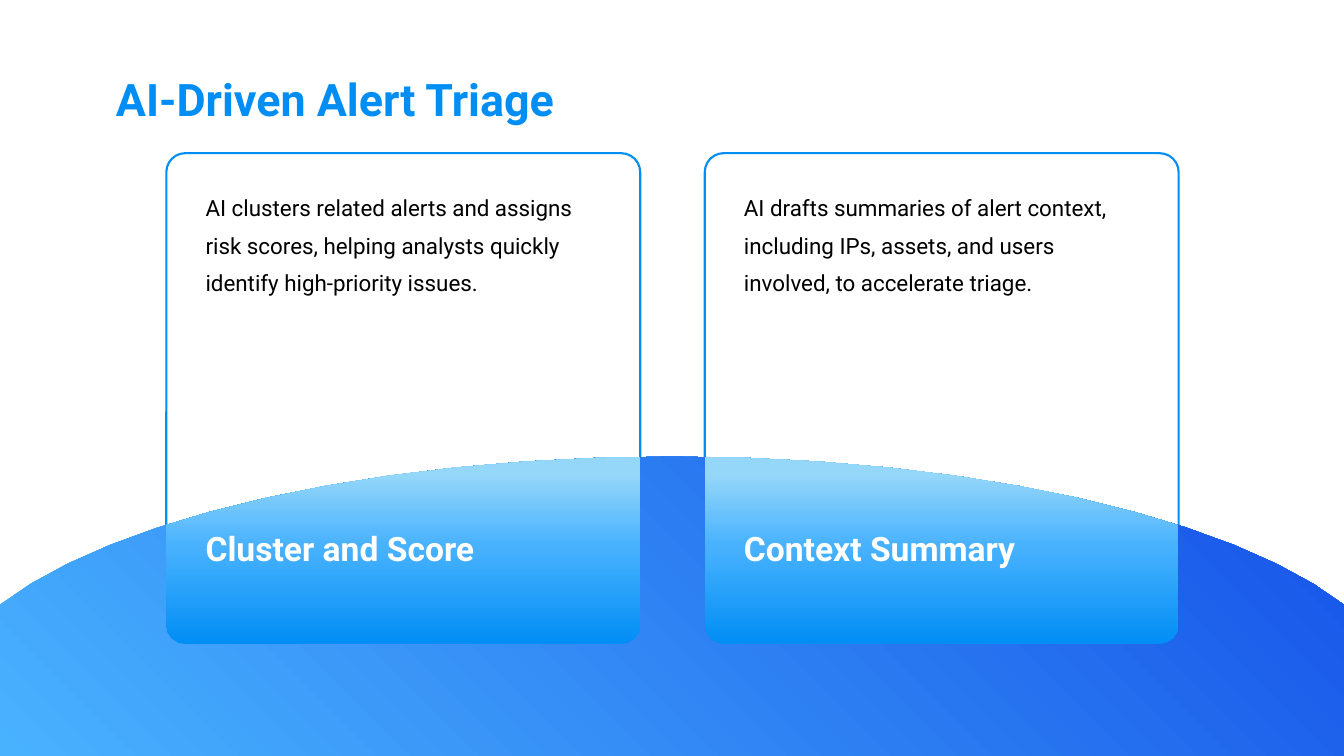
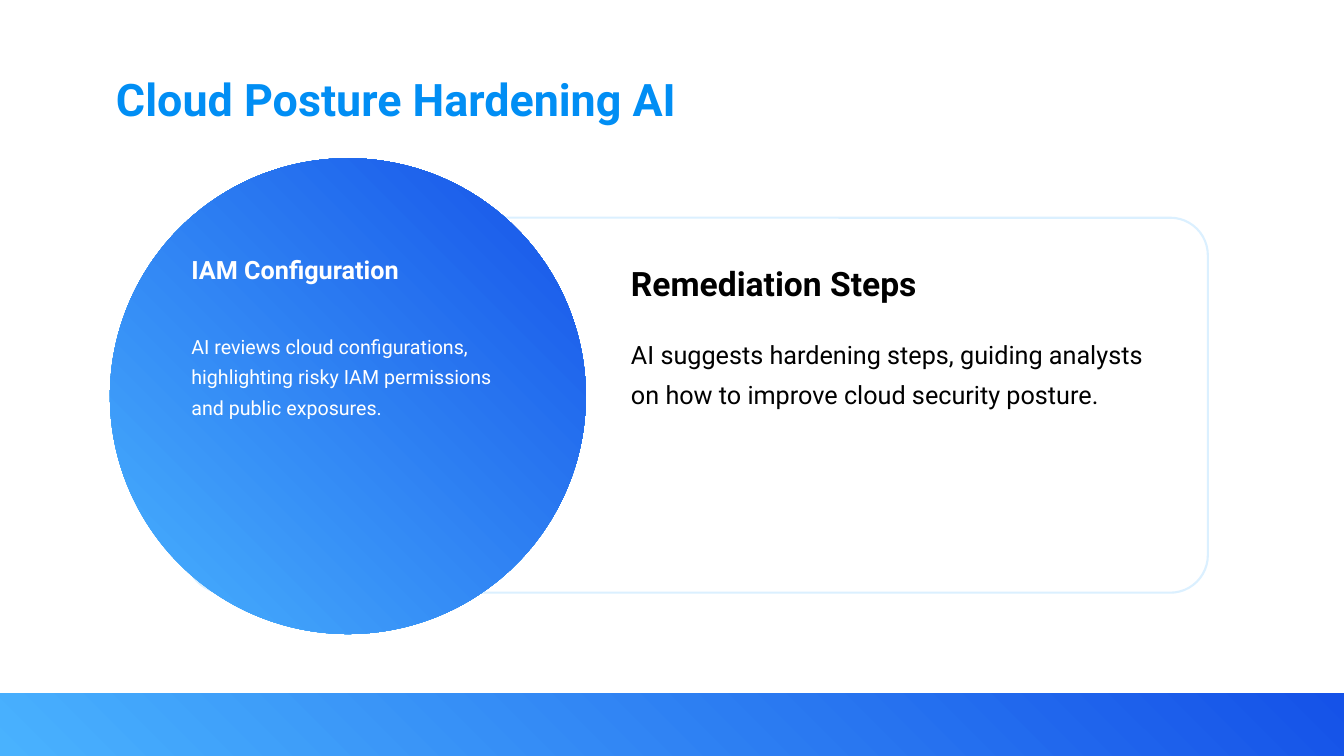
import copy
import math

import pptx
import pptx.util
from pptx.dml.color import RGBColor
from pptx.enum.shapes import MSO_SHAPE
from pptx.enum.text import MSO_ANCHOR, MSO_AUTO_SIZE, PP_ALIGN
from pptx.util import Inches

FONT = "Roboto"
COLORS = {
    "blue": "018EF4",
    "sky": "49B2FE",
    "ice": "95D7F9",
    "royal": "1552E8",
    "pale": "DBF0FF",
    "white": "FFFFFF",
    "black": "000000",
}
DIAGONAL = ([(0, "sky"), (1, "royal")], 45)
SOFT = ([(0, "blue"), (0.91, "sky"), (1, "sky")], 135)
UPWARD = ([(0, "blue"), (0.53, "sky"), (0.91, "ice"), (1, "ice")], 90)

SLIDE_W, SLIDE_H = 13.33, 7.5
BAND_TOP = 6.88
HILL_CURVE = [(0, 6), (1.11, 5.14), (3.68, 4.53), (SLIDE_W / 2, 4.53)]
CARD_LEFT, CARD_TOP, CARD_W, CARD_H = 1.65, 1.52, 4.7, 4.87
CARD_STEP, CARD_PAD, CARD_RADIUS = 5.34, 0.29, 0.19

TRIAGE_TITLE = "AI-Driven Alert Triage"
TRIAGE_CARDS = [
    ("Cluster and Score",
     "AI clusters related alerts and assigns risk scores, helping analysts "
     "quickly identify high-priority issues."),
    ("Context Summary",
     "AI drafts summaries of alert context, including IPs, assets, and users "
     "involved, to accelerate triage."),
]

POSTURE_TITLE = "Cloud Posture Hardening AI"
# text, box, size, colour, bold, line spacing
POSTURE_TEXTS = [
    ("IAM Configuration", (1.8, 2.47, 3.3, 0.31), 18, "white", True, 1),
    ("AI reviews cloud configurations, highlighting risky IAM permissions "
     "and public exposures.", (1.8, 3.2, 3.3, 0.94), 14, "white", False, 1.3),
    ("Remediation Steps", (6.16, 2.56, 5.08, 0.4), 24, "black", True, 1),
    ("AI suggests hardening steps, guiding analysts on how to improve cloud "
     "security posture.", (6.16, 3.23, 5.35, 1.17), 18, "black", False, 1.3),
]


def rgb(name):
    return RGBColor.from_string(COLORS[name])


def fill_gradient(sp, gradient):
    """Fill with (position, colour) stops; the angle runs counter-clockwise."""
    stops, angle = gradient
    sp.fill.gradient()
    sp.fill.gradient_angle = angle
    first = sp.fill.gradient_stops[0]._gs
    for _ in stops[2:]:
        first.addnext(copy.deepcopy(first))
    for stop, (position, color) in zip(sp.fill.gradient_stops, stops):
        stop.color.rgb = rgb(color)
        stop.position = position


def style_shape(sp, gradient=None, line=None):
    sp.shadow.inherit = False
    if gradient:
        fill_gradient(sp, gradient)
    else:
        sp.fill.solid()
        sp.fill.fore_color.rgb = rgb("white")
    if line:
        sp.line.color.rgb = rgb(line)
        sp.line.width = pptx.util.Pt(1.5)
    else:
        sp.line.fill.background()


def add_shape(s, kind, box, gradient=None, line=None, radius=None):
    sp = s.shapes.add_shape(kind, *map(Inches, box))
    if radius is not None:
        sp.adjustments[0] = radius
    style_shape(sp, gradient, line)


def add_outline(s, points, gradient):
    start, *rest = [(Inches(x), Inches(y)) for x, y in points]
    builder = s.shapes.build_freeform(*start, scale=1.0)
    builder.add_line_segments(rest, close=True)
    style_shape(builder.convert_to_shape(), gradient)


def write_text(sp, text, size, color, bold=False, spacing=1):
    tf = sp.text_frame
    tf.word_wrap = True
    tf.auto_size = MSO_AUTO_SIZE.NONE
    tf.vertical_anchor = MSO_ANCHOR.TOP
    p = tf.paragraphs[0]
    p.alignment = PP_ALIGN.LEFT
    p.line_spacing = spacing
    r = p.add_run()
    r.text = text
    r.font.name = FONT
    r.font.size = pptx.util.Pt(size)
    r.font.bold = bold
    r.font.color.rgb = rgb(color)


def add_text(s, text, box, *style):
    write_text(s.shapes.add_textbox(*map(Inches, box)), text, *style)


def add_base_slide(prs, title, band):
    """Add a slide with the shared title style and bottom band."""
    s = prs.slides.add_slide(prs.slide_layouts[5])
    sp = s.shapes.title
    sp.left, sp.top, sp.width, sp.height = map(Inches, (1.05, 0.66, 10.72, 0.55))
    write_text(sp, title, 32, "blue", True)
    add_shape(s, MSO_SHAPE.RECTANGLE,
              (0, BAND_TOP, SLIDE_W, SLIDE_H - BAND_TOP), band)
    return s


def hill_points(steps=12):
    """Sample the cubic curve of the left half and mirror it."""
    half = []
    for i in range(steps + 1):
        t = i / steps
        weights = ((1 - t) ** 3, 3 * t * (1 - t) ** 2, 3 * t * t * (1 - t), t ** 3)
        half.append(tuple(sum(w * pt[axis] for w, pt in zip(weights, HILL_CURVE))
                          for axis in (0, 1)))
    return half + [(SLIDE_W - x, y) for x, y in half[-2::-1]]


def height_at(hill, x):
    for (x0, y0), (x1, y1) in zip(hill, hill[1:]):
        if x0 <= x <= x1:
            return y0 + (y1 - y0) * (x - x0) / (x1 - x0)


def corner(cx, cy, start):
    """Points of a quarter circle, turning clockwise on the slide."""
    angles = [math.radians(start + 22.5 * i) for i in range(5)]
    return [(cx + CARD_RADIUS * math.cos(a), cy + CARD_RADIUS * math.sin(a))
            for a in angles]


def card_base(hill, left):
    """Outline of the part of a card that lies below the hill's crest."""
    right = left + CARD_W
    low = CARD_TOP + CARD_H - CARD_RADIUS
    crest = [pt for pt in hill if left < pt[0] < right]
    return ([(left, height_at(hill, left))] + crest
            + [(right, height_at(hill, right))]
            + corner(right - CARD_RADIUS, low, 0)
            + corner(left + CARD_RADIUS, low, 90))


def build_triage(prs):
    s = add_base_slide(prs, TRIAGE_TITLE, SOFT)
    hill = hill_points()
    lefts = [CARD_LEFT + i * CARD_STEP for i in range(len(TRIAGE_CARDS))]
    for left in lefts:
        add_shape(s, MSO_SHAPE.ROUNDED_RECTANGLE, (left, CARD_TOP, CARD_W, CARD_H),
                  line="blue", radius=0.04)
    add_outline(s, hill + [(SLIDE_W, SLIDE_H), (0, SLIDE_H)], DIAGONAL)
    for left, (heading, body) in zip(lefts, TRIAGE_CARDS):
        add_outline(s, card_base(hill, left), UPWARD)
        x = left + CARD_PAD
        add_text(s, heading, (x, 5.19, 4.11, 0.4), 24, "white", True)
        add_text(s, body, (x, 1.77, 4.11, 1.12), 16, "black", False, 1.4)


def build_posture(prs):
    s = add_base_slide(prs, POSTURE_TITLE, DIAGONAL)
    add_shape(s, MSO_SHAPE.ROUNDED_RECTANGLE, (1.85, 2.16, 10.13, 3.72),
              line="pale", radius=0.1)
    add_shape(s, MSO_SHAPE.OVAL, (1.09, 1.57, 4.72, 4.72), DIAGONAL)
    for text, box, *style in POSTURE_TEXTS:
        add_text(s, text, box, *style)


def main():
    prs = pptx.Presentation()
    prs.slide_width, prs.slide_height = Inches(SLIDE_W), Inches(SLIDE_H)
    build_triage(prs)
    build_posture(prs)
    prs.save("out.pptx")


if __name__ == "__main__":
    main()
